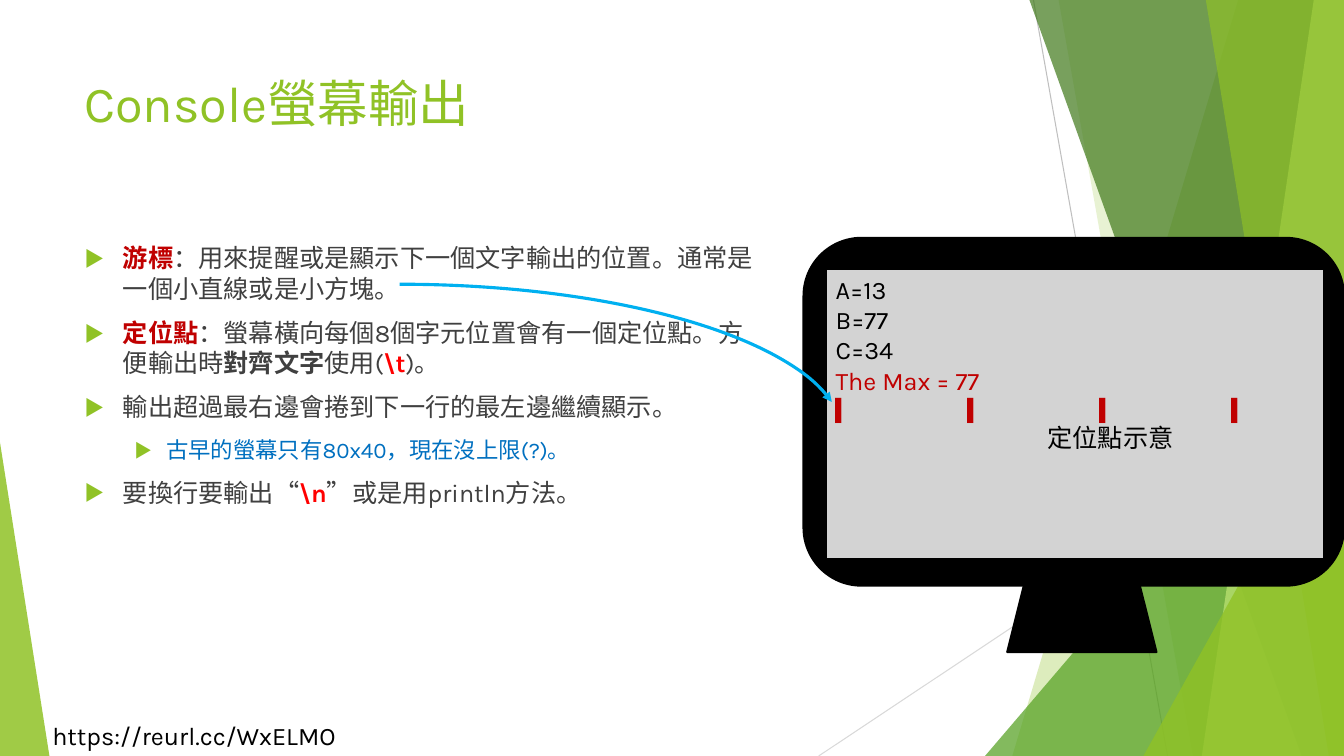
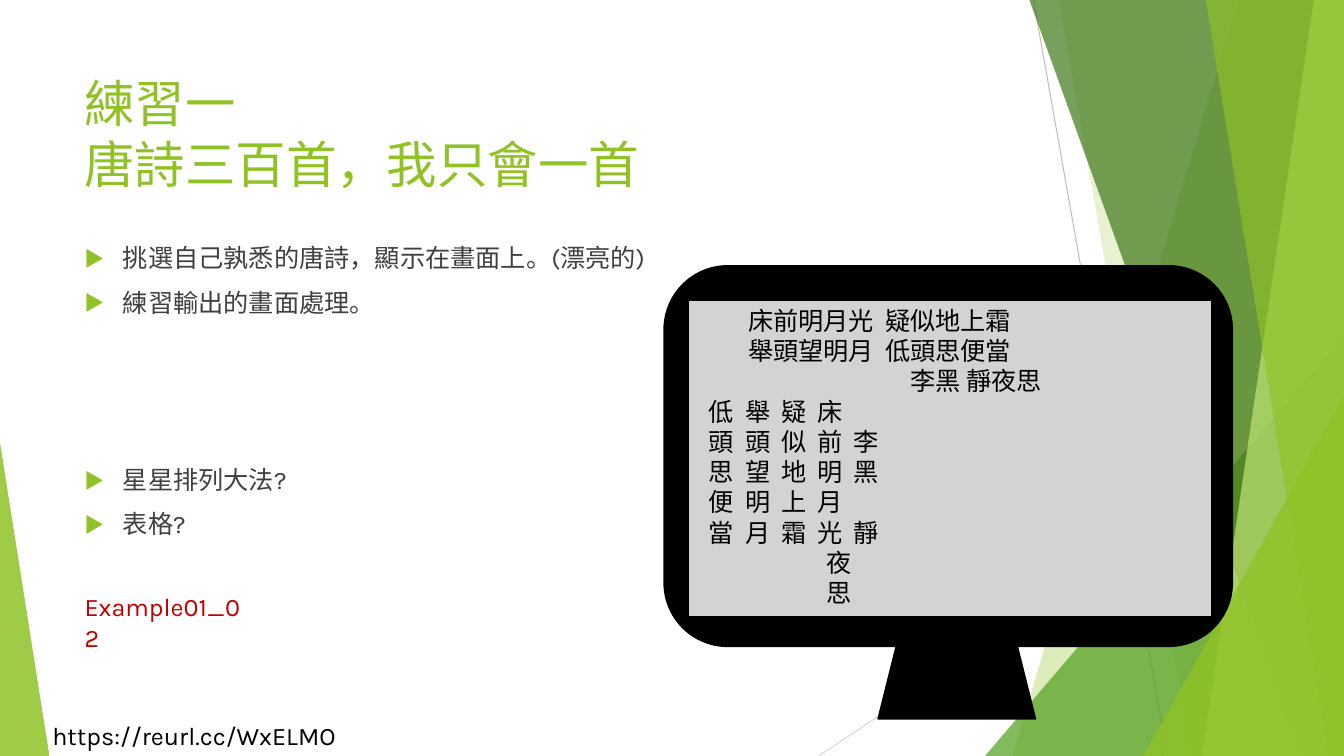
from dataclasses import dataclass

from lxml import etree
from pptx import Presentation
from pptx import util as u
from pptx.dml.color import RGBColor
from pptx.enum import shapes, text
from pptx.oxml import ns


@dataclass(frozen=True)
class Theme:
    width: float = 13.33
    height: float = 7.5
    latin: str = "Karla"
    east_asian: str = "Noto Sans CJK TC"
    title_size: int = 36
    body_size: int = 18
    sub_size: int = 16
    accent: str = "90C226"
    leaf: str = "54A021"
    forest: str = "3F7819"
    lime: str = "C0E474"
    body: str = "404040"
    black: str = "000000"
    screen: str = "D3D3D3"
    key: str = "C00000"
    escape: str = "FF0000"
    note: str = "0070C0"
    arrow: str = "00B0F0"
    ray_dark: str = "BFBFBF"
    ray_light: str = "D9D9D9"


THEME = Theme()


@dataclass(frozen=True)
class Box:
    left: float
    top: float
    width: float
    height: float

    def emu(self) -> tuple:
        return tuple(u.Inches(n) for n in (self.left, self.top, self.width, self.height))

    def relative(self, percent: "Box") -> "Box":
        """Box placed against this one, given in percent of its size."""
        return Box(self.left + self.width * percent.left / 100,
                   self.top + self.height * percent.top / 100,
                   self.width * percent.width / 100,
                   self.height * percent.height / 100)


@dataclass(frozen=True)
class Ray:
    start: tuple[float, float]
    end: tuple[float, float]
    color: str


@dataclass(frozen=True)
class Band:
    """Area from a slanted left edge to the right side of the slide."""
    top_x: float
    bottom_x: float
    color: str
    opacity: int


@dataclass(frozen=True)
class Wedge:
    box: Box
    apex: float
    color: str
    opacity: int


@dataclass(frozen=True)
class Span:
    wording: str
    color: str = THEME.body
    bold: bool = False


@dataclass(frozen=True)
class Bullet:
    spans: tuple[Span, ...]
    level: int = 0
    space_before: float = 10


@dataclass(frozen=True)
class ScreenLine:
    wording: str
    tabs: tuple[float, ...] = ()
    color: str = THEME.black
    font: str = THEME.latin


RAYS = (
    Ray((10.25, 0), (11.58, 7.5), THEME.ray_dark),
    Ray((13.33, 4.03), (8.12, 7.5), THEME.ray_light),
)
BACKDROP = (
    Band(12.28, 10.04, THEME.accent, 30),
    Band(10.5, 11.83, THEME.accent, 20),
    Wedge(Box(9.77, 3.33, 3.56, 4.17), 1, THEME.leaf, 72),
    Band(10.21, 12.91, THEME.forest, 70),
    Band(13.03, 11.92, THEME.lime, 70),
    Band(11.96, 13.18, THEME.accent, 65),
    Wedge(Box(11.34, 3.93, 1.99, 3.57), 1, THEME.accent, 80),
    Wedge(Box(0, 4.39, 0.49, 3.11), 0, THEME.accent, 85),
)
SCREEN_PERCENT = Box(4.1, 9, 92.3, 83.5)
STAND_PERCENT = Box(37.7, 100, 27.6, 19.1)
BULLET_INDENTS = ((0.38, 0.38), (0.81, 0.31))

CONSOLE_BULLETS = (
    Bullet((Span("游標", THEME.key, True),
            Span("：用來提醒或是顯示下一個文字輸出的位置。通常是一個小直線或是小方塊。"))),
    Bullet((Span("定位點", THEME.key, True),
            Span("：螢幕橫向每個8個字元位置會有一個定位點。方便輸出時"),
            Span("對齊文字", bold=True), Span("使用("),
            Span("\\t", THEME.escape, True), Span(")。"))),
    Bullet((Span("輸出超過最右邊會捲到下一行的最左邊繼續顯示。"),)),
    Bullet((Span("古早的螢幕只有80x40，現在沒上限(?)。", THEME.note),), level=1),
    Bullet((Span("要換行要輸出“"), Span("\\n", THEME.escape, True),
            Span("”或是用println方法。"))),
)
TICK_STEP = 1.31
CONSOLE_LINES = (
    ScreenLine("A=13"),
    ScreenLine("B=77"),
    ScreenLine("C=34"),
    ScreenLine("The Max = 77", color=THEME.key),
    ScreenLine("\t".join("▎" * 4), tuple(TICK_STEP * n for n in (1, 2, 3)),
               THEME.key, THEME.east_asian),
)

EXERCISE_BULLETS = (
    Bullet((Span("挑選自己孰悉的唐詩，顯示在畫面上。(漂亮的)"),)),
    Bullet((Span("練習輸出的畫面處理。"),)),
    Bullet((Span("星星排列大法?"),), space_before=105),
    Bullet((Span("表格?"),)),
)
COUPLET_TABS = (0.5, 1.86)
COLUMN_TABS = tuple(0.11 + 0.36 * n for n in range(5))
POEM_LINES = (
    ScreenLine("\t床前明月光\t疑似地上霜", COUPLET_TABS),
    ScreenLine("\t舉頭望明月\t低頭思便當", COUPLET_TABS),
    ScreenLine("\t李黑 靜夜思", (2.11,)),
    *(ScreenLine("\t" + "\t".join(row), COLUMN_TABS)
      for row in ("低舉疑床", "頭頭似前李", "思望地明黑", "便明上月", "當月霜光靜")),
    *(ScreenLine("\t" + word, (1.28,)) for word in "夜思"),
)


def rgb(color: str) -> RGBColor:
    return RGBColor.from_string(color)


def add_element(parent, tag: str, **attributes: str):
    return etree.SubElement(parent, ns.qn(tag), attributes)


def format_run(run, color: str, size: int = THEME.body_size, bold: bool = False,
               font: str = THEME.latin) -> None:
    run.font.name = font
    run.font.size = u.Pt(size)
    run.font.bold = bold
    run.font.color.rgb = rgb(color)
    add_element(run.font._element, "a:ea", typeface=THEME.east_asian)


def paint(shape, color: str, opacity: int = 100, outlined: bool = False) -> None:
    shape.shadow.inherit = False
    shape.fill.solid()
    shape.fill.fore_color.rgb = rgb(color)
    if opacity < 100:
        clr = shape.element.spPr.find(".//" + ns.qn("a:srgbClr"))
        add_element(clr, "a:alpha", val=str(opacity * 1000))
    if outlined:
        shape.line.color.rgb = rgb(THEME.black)
        shape.line.width = u.Pt(1.5)
    else:
        shape.line.fill.background()


def add_text(slide, box: Box, wording: str, color: str,
             size: int = THEME.body_size, wrap: bool = False) -> None:
    frame = slide.shapes.add_textbox(*box.emu()).text_frame
    frame.word_wrap = wrap
    frame.paragraphs[0].text = wording
    for run in frame.paragraphs[0].runs:
        format_run(run, color, size)


def add_backdrop(slide) -> None:
    for ray in RAYS:
        points = [u.Inches(n) for n in ray.start + ray.end]
        line = slide.shapes.add_connector(shapes.MSO_CONNECTOR.STRAIGHT, *points)
        line.line.color.rgb = rgb(ray.color)
        line.line.width = u.Pt(0.75)
        add_element(line.element.spPr, "a:effectLst")
    for item in BACKDROP:
        if isinstance(item, Band):
            corners = [(u.Inches(x), u.Inches(y)) for x, y in (
                (item.top_x, 0), (THEME.width, 0),
                (THEME.width, THEME.height), (item.bottom_x, THEME.height))]
            builder = slide.shapes.build_freeform(*corners[0], scale=1.0)
            builder.add_line_segments(corners[1:], close=True)
            shape = builder.convert_to_shape()
        else:
            shape = slide.shapes.add_shape(
                shapes.MSO_SHAPE.ISOSCELES_TRIANGLE, *item.box.emu())
            shape.adjustments[0] = item.apex
        paint(shape, item.color, item.opacity)


def add_page(deck, title: str):
    page = deck.slides.add_slide(deck.slide_layouts[6])
    add_backdrop(page)
    add_text(page, Box(0.42, 7.1, 3.12, 0.4), "https://reurl.cc/WxELMO", THEME.black)
    add_text(page, Box(0.74, 0.67, 9.4, 1.44), title, THEME.accent,
             THEME.title_size, wrap=True)
    return page


def next_paragraph(frame, index: int):
    return frame.add_paragraph() if index else frame.paragraphs[0]


def add_bullets(slide, width: float, bullets: tuple[Bullet, ...]) -> None:
    frame = slide.shapes.add_textbox(*Box(0.74, 2.36, width, 4.24).emu()).text_frame
    frame.word_wrap = True
    for index, bullet in enumerate(bullets):
        para = next_paragraph(frame, index)
        para.level = bullet.level
        if index:
            para.space_before = u.Pt(bullet.space_before)
        margin, hanging = BULLET_INDENTS[bullet.level]
        props = para._p.get_or_add_pPr()
        props.set("marL", str(u.Inches(margin)))
        props.set("indent", str(-u.Inches(hanging)))
        add_element(add_element(props, "a:buClr"), "a:srgbClr", val=THEME.accent)
        add_element(props, "a:buSzPct", val="80000")
        add_element(props, "a:buFont", typeface=THEME.east_asian)
        add_element(props, "a:buChar", char="▶")
        size = THEME.sub_size if bullet.level else THEME.body_size
        for span in bullet.spans:
            run = para.add_run()
            run.text = span.wording
            format_run(run, span.color, size, span.bold)


def add_monitor(slide, case: Box, lines: tuple[ScreenLine, ...]) -> None:
    group = slide.shapes.add_group_shape()

    def add_piece(kind, box: Box, color: str):
        shape = group.shapes.add_shape(kind, *box.emu())
        paint(shape, color, outlined=True)
        return shape

    add_piece(shapes.MSO_SHAPE.ROUNDED_RECTANGLE, case, THEME.black)
    screen = add_piece(shapes.MSO_SHAPE.RECTANGLE, case.relative(SCREEN_PERCENT),
                       THEME.screen)
    add_piece(shapes.MSO_SHAPE.TRAPEZOID, case.relative(STAND_PERCENT), THEME.black)
    frame = screen.text_frame
    frame.word_wrap = True
    frame.vertical_anchor = text.MSO_ANCHOR.TOP
    for index, line in enumerate(lines):
        para = next_paragraph(frame, index)
        para.text = line.wording
        para.alignment = text.PP_ALIGN.LEFT
        if line.tabs:
            stops = add_element(para._p.get_or_add_pPr(), "a:tabLst")
            for position in line.tabs:
                add_element(stops, "a:tab", pos=str(u.Inches(position)), algn="l")
        for run in para.runs:
            format_run(run, line.color, font=line.font)


def add_cursor_arrow(slide) -> None:
    arc = slide.shapes.add_shape(shapes.MSO_SHAPE.ARC, *Box(-0.44, 2.82, 8.81, 3.04).emu())
    arc.adjustments[0] = 162
    arc.adjustments[1] = 213.18
    arc.shadow.inherit = False
    arc.fill.background()
    arc.line.color.rgb = rgb(THEME.arrow)
    arc.line.width = u.Pt(2.25)
    add_element(arc.element.spPr.find(ns.qn("a:ln")), "a:tailEnd", type="triangle")


def main() -> None:
    deck = Presentation()
    deck.slide_width = u.Inches(THEME.width)
    deck.slide_height = u.Inches(THEME.height)

    console = add_page(deck, "Console螢幕輸出")
    add_bullets(console, 6.83, CONSOLE_BULLETS)
    add_monitor(console, Box(7.97, 2.36, 5.36, 3.45), CONSOLE_LINES)
    add_cursor_arrow(console)
    add_text(console, Box(10.29, 4.14, 1.46, 0.4), "定位點示意", THEME.black)

    exercise = add_page(deck, "練習一\v唐詩三百首，我只會一首")
    add_bullets(exercise, 9.4, EXERCISE_BULLETS)
    add_monitor(exercise, Box(6.59, 2.64, 5.63, 3.77), POEM_LINES)
    add_text(exercise, Box(0.74, 5.82, 1.83, 0.4), "Example01_02", THEME.key, wrap=True)

    deck.save("out.pptx")


if __name__ == "__main__":
    main()
